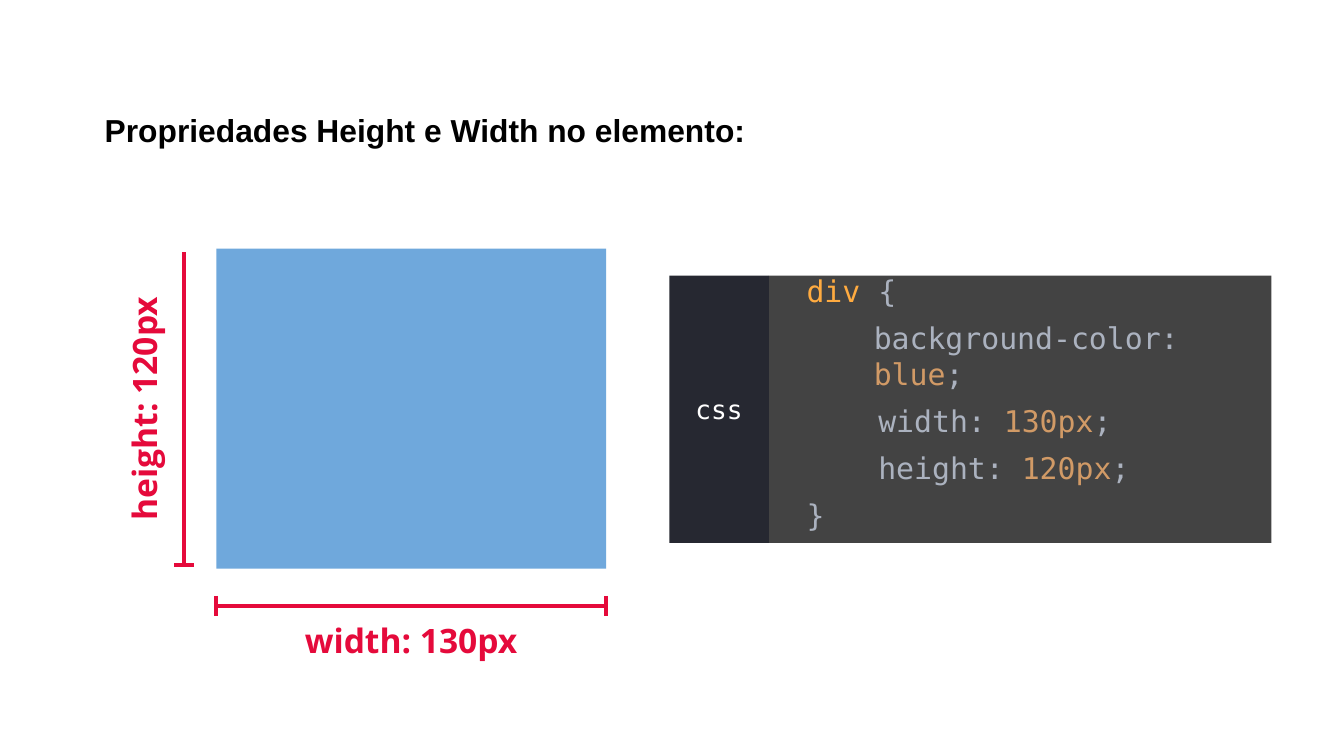
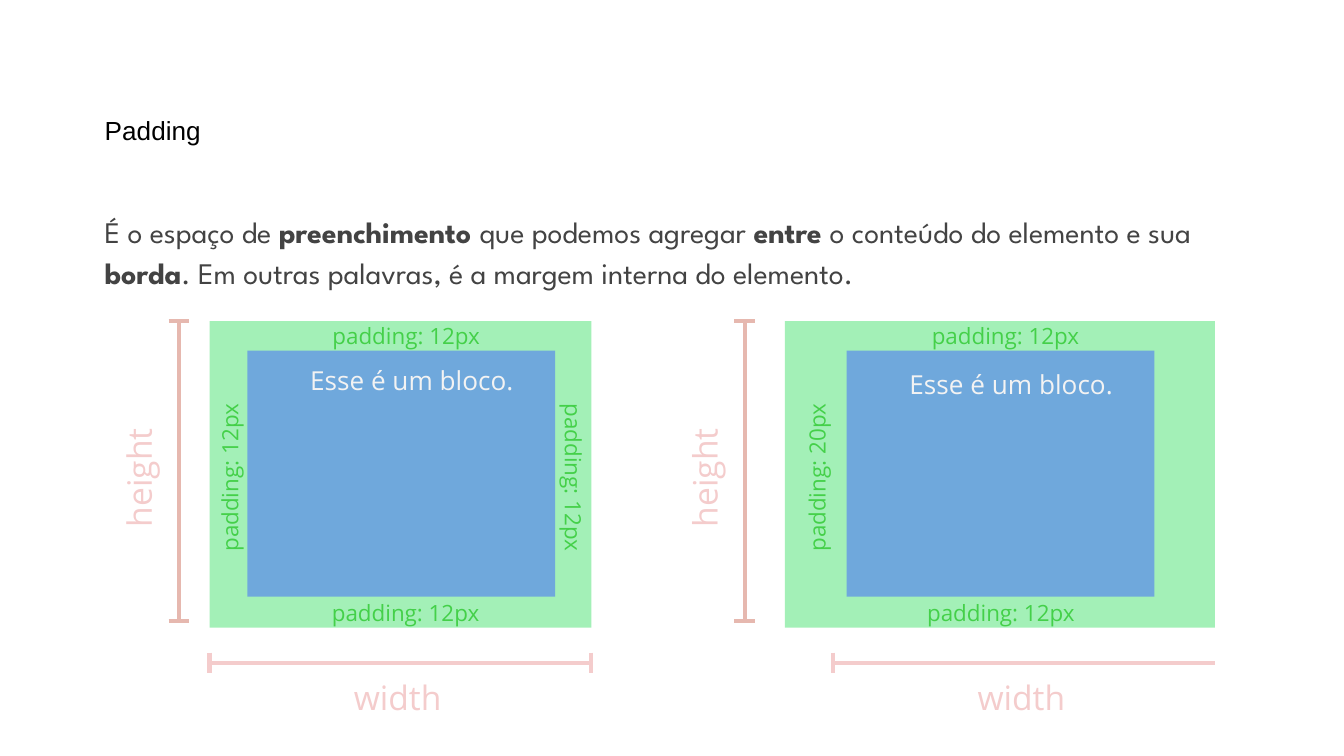
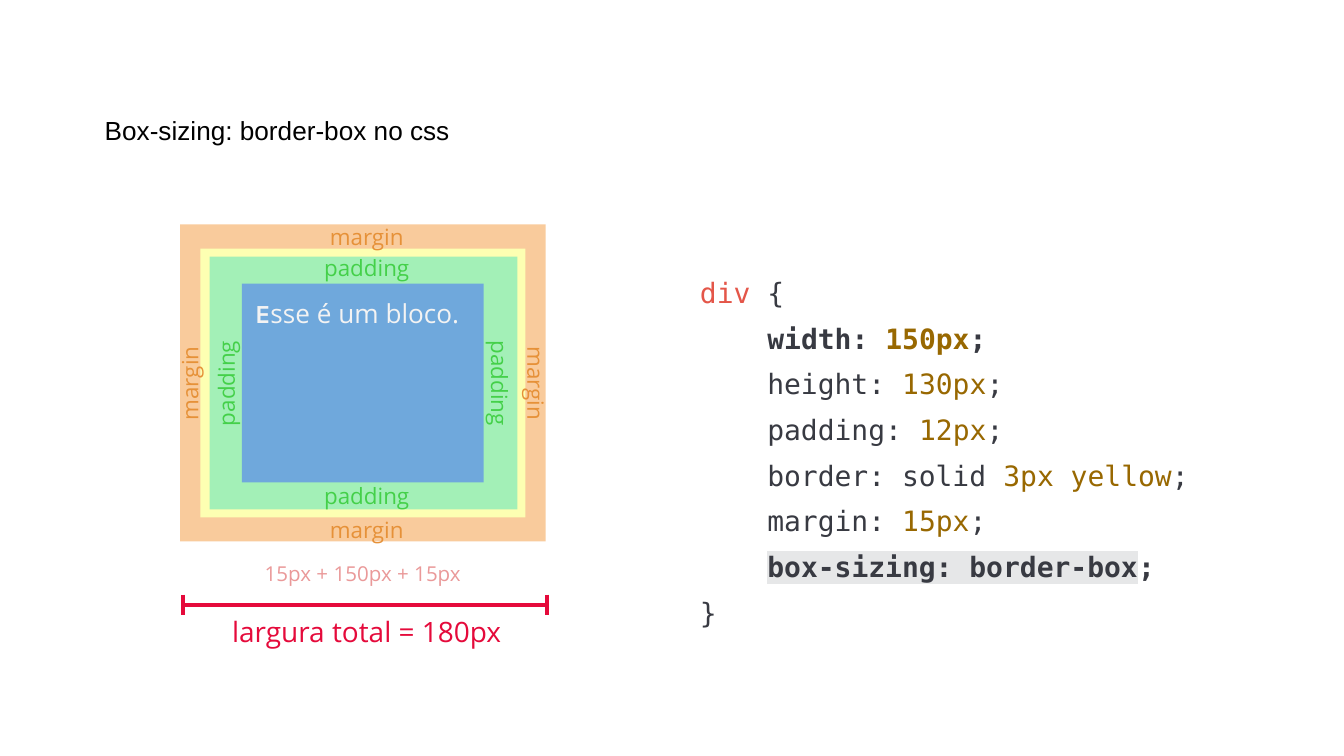
from dataclasses import dataclass

from lxml.etree import SubElement
from pptx import Presentation
from pptx.dml.color import RGBColor
from pptx.enum.shapes import MSO_CONNECTOR as Connector, MSO_SHAPE as Preset
from pptx.enum.text import MSO_ANCHOR as Anchor, PP_ALIGN as Align
from pptx.oxml.ns import qn
from pptx.util import Pt


@dataclass(frozen=True)
class Theme:
    title_font: str = "Arial"
    label_font: str = "Open Sans"
    body_font: str = "League Spartan"
    accent_font: str = "Karla"
    code_font: str = "DejaVu Sans Mono"
    black: str = "000000"
    white: str = "FFFFFF"
    gray: str = "434343"
    navy: str = "262831"
    red: str = "E50A3B"
    rose: str = "EA9999"
    pale_rose: str = "F4CCCC"
    clay: str = "E6B8AF"
    content: str = "6FA8DC"
    content_text: str = "F3F3F3"
    padding: str = "A3F0B7"
    padding_text: str = "44D049"
    border: str = "FDFFB2"
    margin: str = "F9CB9C"
    margin_text: str = "E69138"
    dark_selector: str = "FFAB40"
    dark_code: str = "ABB2BF"
    dark_value: str = "D19A66"
    light_selector: str = "E45649"
    light_code: str = "383A42"
    light_value: str = "986801"
    highlight: str = "E6E7E8"
    strong_title: float = 17
    title: float = 14
    measure: float = 18
    body: float = 16
    total: float = 15
    content_size: float = 14
    band: float = 12
    sum: float = 11
    line: float = 2.25
    inset: float = 7.2


THEME = Theme()


@dataclass(frozen=True)
class Box:
    left: float
    top: float
    width: float
    height: float

    def inner(self, x, y, width, height):
        return Box(self.left + x, self.top + y, width, height)

    def around(self, x, y, width, height):
        return self.inner(x - width / 2, y - height / 2, width, height)

    def lengths(self):
        return Pt(self.left), Pt(self.top), Pt(self.width), Pt(self.height)


@dataclass(frozen=True)
class Span:
    text: str
    color: str
    bold: bool = False
    mark: str = ""
    font: str = ""


def style_run(run, font, size, color, bold=False):
    run.font.name = font
    run.font.size = Pt(size)
    run.font.bold = bold
    run.font.color.rgb = RGBColor.from_string(color)


def write_spans(para, spans, font, size):
    for span in spans:
        run = para.add_run()
        run.text = span.text
        style_run(run, span.font or font, size, span.color, span.bold)
        if span.mark:
            mark = SubElement(run._r.get_or_add_rPr(), qn("a:highlight"))
            SubElement(mark, qn("a:srgbClr")).set("val", span.mark)
            run._r.get_or_add_rPr().find(qn("a:solidFill")).addnext(mark)


def prepare_frame(shape, anchor=Anchor.TOP):
    frame = shape.text_frame
    frame.word_wrap = True
    frame.vertical_anchor = anchor
    frame.margin_left = frame.margin_right = Pt(THEME.inset)
    frame.margin_top = frame.margin_bottom = Pt(THEME.inset)
    return frame


def add_frame(page, box, anchor=Anchor.TOP):
    return prepare_frame(page.shapes.add_textbox(*box.lengths()), anchor)


def add_label(page, box, text, size, color, font=THEME.label_font, bold=False,
              align=Align.LEFT, anchor=Anchor.TOP, angle=0):
    shape = page.shapes.add_textbox(*box.lengths())
    shape.rotation = angle
    frame = prepare_frame(shape, anchor)
    frame.text = text
    para = frame.paragraphs[0]
    para.alignment = align
    style_run(para.runs[0], font, size, color, bold)


def add_panel(page, box, color):
    panel = page.shapes.add_shape(Preset.RECTANGLE, *box.lengths())
    panel.shadow.inherit = False
    panel.fill.solid()
    panel.fill.fore_color.rgb = RGBColor.from_string(color)
    panel.line.fill.background()
    return panel


def add_line(page, start, end, color):
    points = [Pt(value) for value in (*start, *end)]
    line = page.shapes.add_connector(Connector.STRAIGHT, *points)
    line.line.color.rgb = RGBColor.from_string(color)
    line.line.width = Pt(THEME.line)
    SubElement(line._element.spPr, qn("a:effectLst"))


def add_ruler(page, start, end, color, caps=(True, True)):
    add_line(page, start, end, color)
    reach = 5.4
    dx, dy = (0, reach) if start[1] == end[1] else (reach, 0)
    for (x, y), capped in zip((start, end), caps):
        if capped:
            add_line(page, (x - dx, y - dy), (x + dx, y + dy), color)


def add_title(page, text, size=THEME.title, bold=False):
    add_label(page, Box(49, 46.8, 612.7, 45.4), text, size, THEME.black,
              THEME.title_font, bold, anchor=Anchor.MIDDLE)


def add_measured_block(page, box):
    add_panel(page, box, THEME.content)
    bottom = box.top + box.height
    ruler_x = box.left - 17.1
    ruler_y = bottom + 20.1
    look = dict(size=THEME.measure, color=THEME.red, bold=True, align=Align.CENTER)
    add_ruler(page, (ruler_x, box.top + 2), (ruler_x, bottom - 2), THEME.red, (False, True))
    add_ruler(page, (box.left, ruler_y), (box.left + box.width, ruler_y), THEME.red)
    add_label(page, box.inner(0, box.height + 20.1, box.width, 24.5), "width: 130px", **look)
    add_label(page, box.around(-44.6, 85.7, 168.5, 24.5), "height: 120px", angle=270, **look)


def add_dark_code(page, box):
    tab_width = 53.3
    body = add_panel(page, box.inner(tab_width, 0, box.width - tab_width, box.height), THEME.gray)
    frame = prepare_frame(body, Anchor.MIDDLE)
    frame.margin_left, frame.margin_top = Pt(5.8), Pt(0)
    code, value = THEME.dark_code, THEME.dark_value
    lines = [
        (14.4, [Span("div ", THEME.dark_selector), Span("{", code)]),
        (50.4, [Span("background-color: ", code), Span("blue", value), Span(";", code)]),
        (14.4, [Span("    width: ", code), Span("130px", value), Span(";", code)]),
        (14.4, [Span("    height: ", code), Span("120px", value), Span(";", code)]),
        (14.4, [Span("}", code)]),
    ]
    for index, (indent, spans) in enumerate(lines):
        para = frame.add_paragraph() if index else frame.paragraphs[0]
        para.alignment = Align.LEFT
        para.space_before = Pt(6 if index else 0)
        properties = para._p.get_or_add_pPr()
        properties.set("marL", str(Pt(indent)))
        properties.set("indent", "0")
        write_spans(para, spans, THEME.code_font, THEME.body)
    tab = add_panel(page, box.inner(0, 0, tab_width, box.height), THEME.navy)
    tab_frame = prepare_frame(tab, Anchor.MIDDLE)
    tab_frame.text = "css"
    tab_frame.paragraphs[0].alignment = Align.CENTER
    style_run(tab_frame.paragraphs[0].runs[0], THEME.code_font, THEME.content_size, THEME.white)


def add_intro(page, box):
    para = add_frame(page, box).paragraphs[0]
    para.line_spacing = 1.15
    pieces = ["É o espaço de ", "preenchimento ", "que podemos agregar ", "entre ",
              "o conteúdo do elemento e sua ", "borda",
              ". Em outras palavras, é a margem interna do elemento."]
    spans = [Span(piece, THEME.gray, index % 2 == 1) for index, piece in enumerate(pieces)]
    write_spans(para, spans, THEME.body_font, THEME.body)


def add_padding_diagram(page, box, side, side_text, ruler_gap, width_shift, text_drop, complete):
    add_panel(page, box, THEME.padding)
    content = box.inner(side, 15.8, 164.9, 131.8)
    add_panel(page, content, THEME.content)
    add_label(page, content.inner(17.6, text_drop, 141.1, 23), "Esse é um bloco.",
              THEME.content_size, THEME.content_text, align=Align.CENTER)

    look = dict(size=THEME.band, color=THEME.padding_text, anchor=Anchor.MIDDLE)
    bottom_x = 38.2 if complete else 36
    add_label(page, content.inner(38.5, -15.8, 103.7, 15.8), "padding: 12px", **look)
    add_label(page, content.inner(bottom_x, 132.5, 97.9, 15.8), "padding: 12px", **look)
    add_label(page, box.around(side / 2 + 0.5, 82, 97, 20), side_text, angle=270, **look)
    if complete:
        add_label(page, box.around(195.1, 85.3, 96.5, 19.4), "padding: 12px", angle=90, **look)

    ruler_x = box.left - ruler_gap
    add_ruler(page, (ruler_x, box.top), (ruler_x, box.top + 160.6), THEME.clay)
    add_label(page, box.around(-ruler_gap - 27.7, 80.3, 74.2, 23.8), "height",
              THEME.measure, THEME.pale_rose, angle=270)
    start_x, ruler_y = box.left + width_shift, box.top + 183
    add_ruler(page, (start_x, ruler_y), (start_x + 204.5, ruler_y),
              THEME.pale_rose, (True, complete))
    add_label(page, box.inner(width_shift + 70.2, 183.6, 76.3, 23), "width",
              THEME.measure, THEME.pale_rose)


def add_box_model(page, box):
    add_panel(page, box, THEME.margin)
    add_panel(page, box.inner(10.8, 13, 174.2, 144), THEME.border)
    add_panel(page, box.inner(15.8, 17.3, 164.9, 135.4), THEME.padding)
    content = box.inner(33.1, 31.7, 129.6, 106.6)
    add_panel(page, content, THEME.content)
    text = add_frame(page, Box(content.left, content.top, content.width, 57.6))
    write_spans(text.paragraphs[0],
                [Span("E", THEME.content_text, True, font=THEME.accent_font),
                 Span("sse é um bloco.", THEME.content_text)],
                THEME.label_font, THEME.content_size)
    bands = [
        ("padding", THEME.padding_text, 16.5, (23.4, 145.4), (24.5, 171.4)),
        ("margin", THEME.margin_text, 12.5, (6.5, 163.4), (5, 190.8)),
    ]
    for name, color, thickness, (top, bottom), (left, right) in bands:
        for x, y, angle in ((100, top, 0), (100, bottom, 0), (left, 85.2, 270), (right, 85.2, 90)):
            add_label(page, box.around(x, y, 93.6, thickness), name, THEME.band, color,
                      align=Align.CENTER, anchor=Anchor.MIDDLE, angle=angle)


def add_total_width(page, box):
    ruler_y = box.top + 30.2
    add_ruler(page, (box.left, ruler_y), (box.left + box.width, ruler_y), THEME.red)
    add_label(page, box.inner(-30.4, 0, 253.4, 24.5), "15px + 150px + 15px",
              THEME.sum, THEME.rose, align=Align.CENTER)
    add_label(page, box.inner(12, 28.1, 172.8, 24.5), "largura total = 180px",
              THEME.total, THEME.red, align=Align.CENTER)


def add_light_code(page, box):
    code, value = THEME.light_code, THEME.light_value

    def rule(name, amount):
        return [Span(f"    {name}", code), Span(amount, value), Span(";", code)]

    lines = [
        [Span("div", THEME.light_selector), Span(" {", code)],
        [Span("    ", code), Span("width: ", code, True),
         Span("150px", value, True), Span(";", code, True)],
        rule("height: ", "130px"),
        rule("padding: ", "12px"),
        rule("border: solid ", "3px yellow"),
        rule("margin: ", "15px"),
        [Span("    ", code), Span("box-sizing: border-box", code, True, THEME.highlight),
         Span(";", code, True)],
        [Span("}", code)],
    ]
    frame = add_frame(page, box)
    for index, spans in enumerate(lines):
        para = frame.add_paragraph() if index else frame.paragraphs[0]
        para.line_spacing = 1.36
        write_spans(para, spans, THEME.code_font, THEME.total)


def build_dimensions(page):
    add_measured_block(page, Box(115.9, 133.2, 208.8, 171.4))
    add_dark_code(page, Box(358.6, 147.6, 322.5, 143.3))
    add_title(page, "Propriedades Height e Width no elemento:", THEME.strong_title, True)


def build_padding(page):
    add_intro(page, Box(49, 104.4, 614.2, 97.9))
    add_padding_diagram(page, Box(112.3, 172.1, 204.5, 164.2), side=20.2,
                        side_text="padding: 12px", ruler_gap=16.5, width_shift=0,
                        text_drop=0, complete=True)
    add_padding_diagram(page, Box(420.5, 172.1, 230.4, 164.2), side=33.1,
                        side_text="padding: 20px", ruler_gap=21.6, width_shift=25.9,
                        text_drop=2.2, complete=False)
    add_title(page, "Padding")


def build_box_sizing(page):
    add_box_model(page, Box(96.5, 120.2, 195.8, 169.9))
    add_total_width(page, Box(98.1, 293.8, 195, 52.6))
    add_light_code(page, Box(367.9, 133.9, 295.2, 236.2))
    add_title(page, "Box-sizing: border-box no css")


def main():
    deck = Presentation()
    deck.slide_width, deck.slide_height = Pt(720), Pt(405)
    for build in (build_dimensions, build_padding, build_box_sizing):
        build(deck.slides.add_slide(deck.slide_layouts[6]))
    deck.save("out.pptx")


if __name__ == "__main__":
    main()
